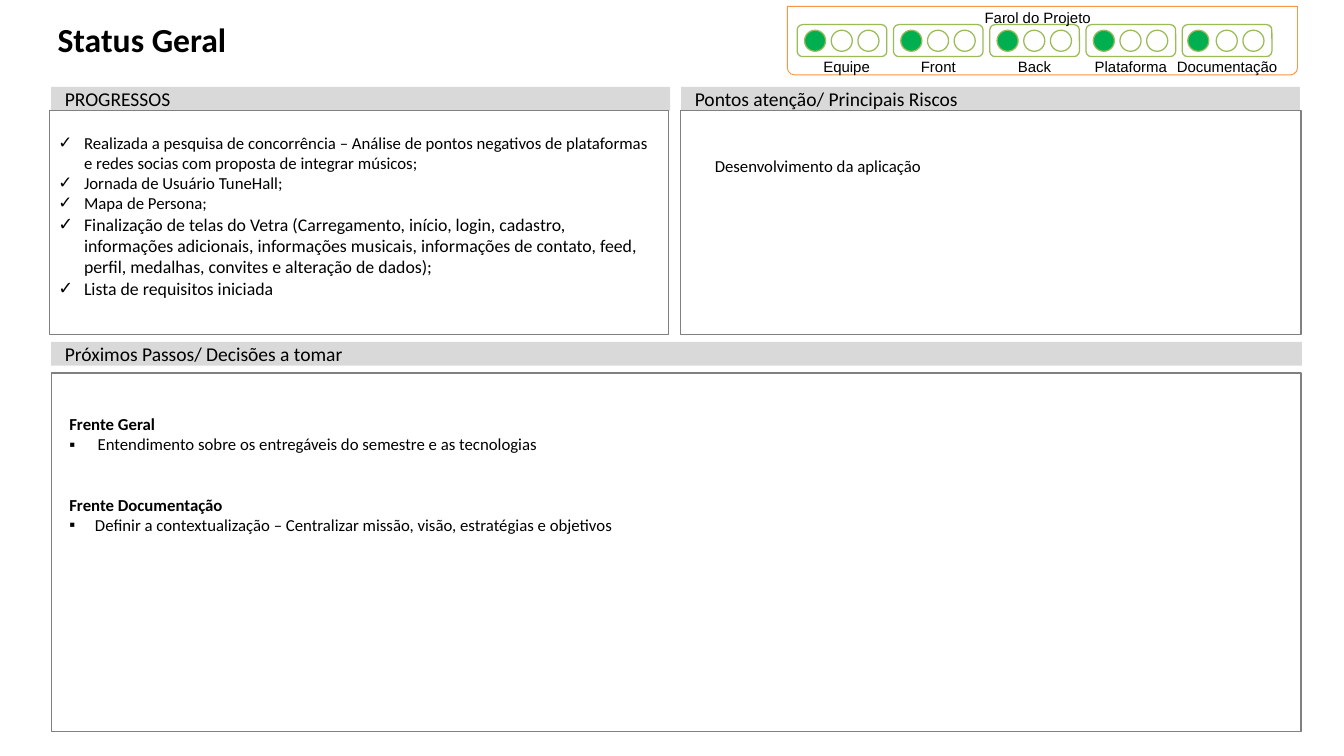
from lxml.etree import SubElement
from pptx import Presentation
from pptx.dml.color import RGBColor
from pptx.enum.shapes import MSO_SHAPE as Preset
from pptx.enum.text import MSO_ANCHOR as Anchor, MSO_AUTO_SIZE as AutoSize, PP_ALIGN as Align
from pptx.oxml.ns import qn
from pptx.util import Pt

BLACK = RGBColor(0x00, 0x00, 0x00)
WHITE = RGBColor(0xFF, 0xFF, 0xFF)
HEADER_GRAY = RGBColor(0xD9, 0xD9, 0xD9)
BORDER_GRAY = RGBColor(0x80, 0x80, 0x80)
LAMP_GREEN = RGBColor(0x00, 0xB0, 0x50)
OUTLINE_GREEN = RGBColor(0x9B, 0xBB, 0x59)
ORANGE = RGBColor(0xF7, 0x96, 0x46)

CHECK, SQUARE = "✓", "▪"
TITLE_ONLY = 5

# Area, label shift and shift of the lit lamp
AREAS = [
    ("Equipe", 3.6, 0),
    ("Front", 0, 0),
    ("Back", 0, 0),
    ("Plataforma", 0, 0),
    ("Documentação", 0, -1.4),
]
PROGRESS = [
    ("Realizada a pesquisa de concorrência – Análise de pontos negativos de "
     "plataformas e redes socias com proposta de integrar músicos;", 13.2),
    ("Jornada de Usuário TuneHall;", 13.2),
    ("Mapa de Persona;", 13.2),
    ("Finalização de telas do Vetra (Carregamento, início, login, cadastro, "
     "informações adicionais, informações musicais, informações de contato, feed, "
     "perfil, medalhas, convites e alteração de dados);", 14),
    ("Lista de requisitos iniciada", 14),
]
# Heading, step, bullet indent and space before
NEXT_STEPS = [
    ("Frente Geral",
     "Entendimento sobre os entregáveis do semestre e as tecnologias", 22.3, 0),
    ("Frente Documentação",
     "Definir a contextualização – Centralizar missão, visão, estratégias e objetivos",
     20.2, 32),
]


def add_box(slide, preset, left, top, width, height, fill=None, line=None, weight=1):
    shape = slide.shapes.add_shape(preset, Pt(left), Pt(top), Pt(width), Pt(height))
    shape.shadow.inherit = False
    if fill is None:
        shape.fill.background()
    else:
        shape.fill.solid()
        shape.fill.fore_color.rgb = fill
    if line is None:
        shape.line.fill.background()
    else:
        shape.line.color.rgb = line
        shape.line.width = Pt(weight)
    return shape


def set_frame(shape, insets=(7.2, 3.6, 7.2, 3.6), anchor=Anchor.TOP, wrap=True):
    frame = shape.text_frame
    frame.auto_size = AutoSize.NONE
    frame.word_wrap = wrap
    frame.vertical_anchor = anchor
    (frame.margin_left, frame.margin_top,
     frame.margin_right, frame.margin_bottom) = map(Pt, insets)
    return frame


def add_text_box(slide, left, top, width, height, **frame_format):
    box = slide.shapes.add_textbox(Pt(left), Pt(top), Pt(width), Pt(height))
    return set_frame(box, **frame_format)


def write(frame, text, size=13.2, font="Calibri", bold=False, align=Align.LEFT,
          bullet=None, indent=0, before=0):
    """Fill the empty first paragraph, or add one after the others."""
    paragraph = frame.paragraphs[0]
    if paragraph.runs:
        paragraph = frame.add_paragraph()
    paragraph.alignment = align
    paragraph.space_before = Pt(before)
    run = paragraph.add_run()
    run.text = text
    run.font.name = font
    run.font.size = Pt(size)
    run.font.bold = bold
    run.font.color.rgb = BLACK
    if bullet:
        properties = paragraph._p.get_or_add_pPr()
        properties.set("marL", str(Pt(indent)))
        properties.set("indent", str(-Pt(indent)))
        SubElement(properties, qn("a:buFont"), typeface="Arial")
        SubElement(properties, qn("a:buChar"), char=bullet)


def add_title(slide, text):
    title = slide.shapes.title
    title.left, title.top, title.width, title.height = Pt(36.7), Pt(15), Pt(952.6), Pt(63.4)
    frame = set_frame(title, insets=(8.6, 0, 8.6, 0))
    write(frame, text, size=26.5, bold=True)


def add_header(slide, text, left, top, width):
    header = add_box(slide, Preset.RECTANGLE, left, top, width, 18.7, fill=HEADER_GRAY)
    frame = set_frame(header, insets=(10.8, 0, 10.8, 0), anchor=Anchor.MIDDLE)
    write(frame, text, size=15.4)


def add_panel(slide, left, top, width, height):
    return add_box(slide, Preset.RECTANGLE, left, top, width, height, line=BORDER_GRAY)


def add_label(slide, text, left, top):
    frame = add_text_box(slide, left, top, 70.6, 14.4, insets=(4.3, 4.3, 4.3, 0),
                         anchor=Anchor.BOTTOM, wrap=False)
    write(frame, text, size=11.8, font="Arial", align=Align.CENTER)


def add_traffic_light(slide, left, name, label_shift, lit_shift):
    add_box(slide, Preset.ROUNDED_RECTANGLE, left, 19.4, 70.6, 25.2,
            fill=WHITE, line=OUTLINE_GREEN)
    for position in range(3):
        lit = position == 0
        lamp_left = left + 5.8 + 21 * position + (lit_shift if lit else 0)
        add_box(slide, Preset.OVAL, lamp_left, 23.8, 16.6, 16.6,
                fill=LAMP_GREEN if lit else WHITE, line=OUTLINE_GREEN)
    add_label(slide, name, left + label_shift, 45.4)


def add_status_board(slide):
    board = add_box(slide, Preset.ROUND_2_SAME_RECTANGLE, 620, 5, 401.8, 54,
                    line=ORANGE, weight=0.75)
    board.rotation = 180
    board.adjustments[0] = 0.106
    board.adjustments[1] = 0
    for index, area in enumerate(AREAS):
        add_traffic_light(slide, 627.8 + 75.8 * index, *area)
    add_label(slide, "Farol do Projeto", 781.9, 6.5)


def add_progress(slide):
    add_header(slide, "PROGRESSOS", 40.3, 68.4, 487.4)
    panel = add_panel(slide, 38.9, 87.1, 487.4, 176.4)
    frame = set_frame(panel, insets=(7.2, 17.5, 7.2, 3.6))
    for text, size in PROGRESS:
        write(frame, text, size=size, bullet=CHECK, indent=20.2)


def add_risks(slide):
    add_header(slide, "Pontos atenção/ Principais Riscos", 536.4, 68.4, 487.4)
    add_panel(slide, 535.7, 87.1, 488.9, 176.4)
    write(add_text_box(slide, 555.8, 118.8, 178.6, 23), "Desenvolvimento da aplicação")


def add_next_steps(slide):
    add_header(slide, "Próximos Passos/ Decisões a tomar", 40.3, 269.3, 985)
    add_panel(slide, 40.3, 293.8, 984.2, 282.2)
    frame = add_text_box(slide, 47.5, 322.6, 480, 160.6)
    for heading, step, indent, before in NEXT_STEPS:
        write(frame, heading, bold=True, before=before)
        write(frame, step, bullet=SQUARE, indent=indent)


def main():
    presentation = Presentation()
    presentation.slide_width, presentation.slide_height = Pt(1058.4), Pt(595.44)
    slide = presentation.slides.add_slide(presentation.slide_layouts[TITLE_ONLY])
    add_title(slide, "Status Geral")
    add_status_board(slide)
    add_progress(slide)
    add_risks(slide)
    add_next_steps(slide)
    presentation.save("out.pptx")


main()
